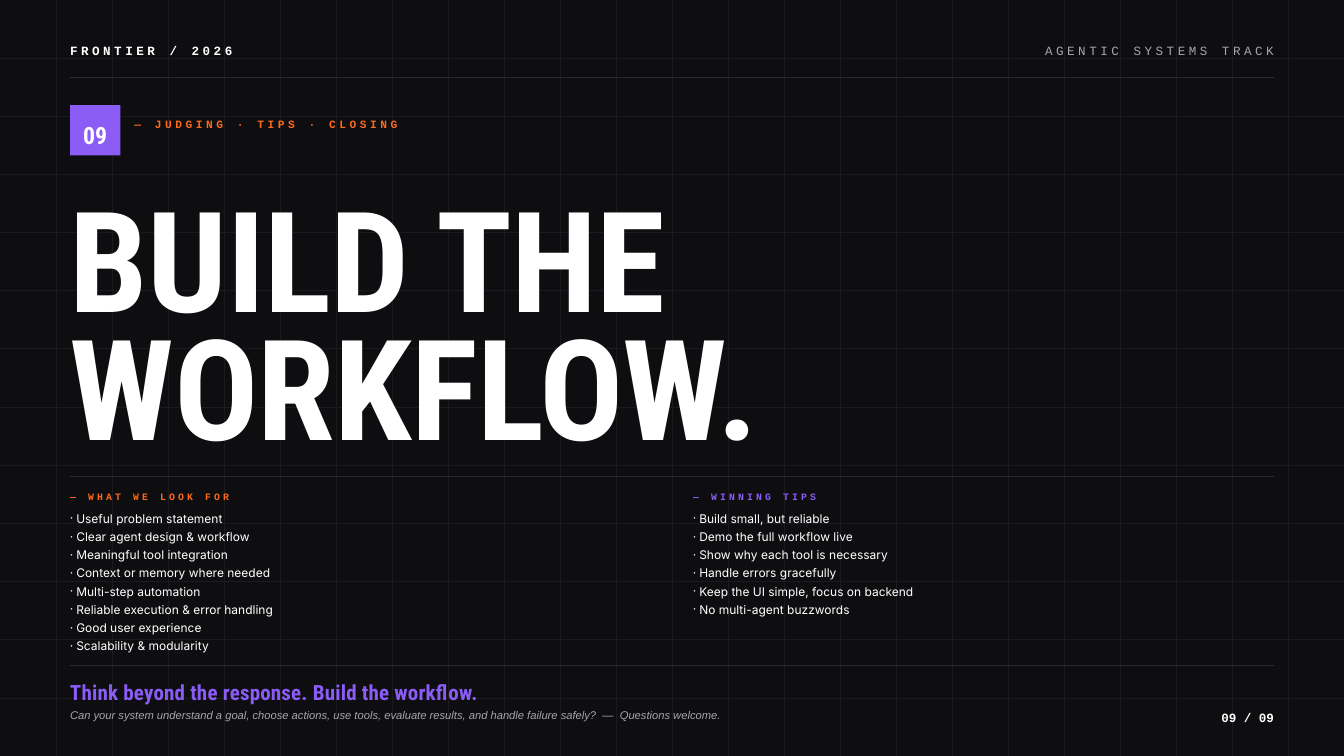
"""Build the closing slide of the agentic systems track deck."""
from pptx import Presentation, util as u
from pptx.dml.color import RGBColor
from pptx.enum import shapes, text
from pptx.oxml.ns import qn

PX = u.Inches(1) // 96
WIDTH, HEIGHT = 1920, 1080
LEFT, RIGHT, COLUMN_2 = 100, 1820, 990
GRID_COLUMNS, GRID_ROWS = 24, 13

INK = RGBColor(0x0E, 0x0E, 0x10)
GRID = RGBColor(0x1A, 0x1A, 0x1F)
RULE = RGBColor(0x2A, 0x2A, 0x30)
WHITE = RGBColor(0xFF, 0xFF, 0xFF)
GREY = RGBColor(0xA5, 0xA5, 0xAD)
PURPLE = RGBColor(0x8B, 0x5C, 0xF6)
ORANGE = RGBColor(0xFF, 0x6A, 0x1A)

MONO, DISPLAY, BODY, NOTE = "Courier New", "Roboto Condensed", "Inter", "Arial"
ALIGN = text.PP_ALIGN

CRITERIA = [
    "Useful problem statement",
    "Clear agent design & workflow",
    "Meaningful tool integration",
    "Context or memory where needed",
    "Multi-step automation",
    "Reliable execution & error handling",
    "Good user experience",
    "Scalability & modularity",
]
TIPS = [
    "Build small, but reliable",
    "Demo the full workflow live",
    "Show why each tool is necessary",
    "Handle errors gracefully",
    "Keep the UI simple, focus on backend",
    "No multi-agent buzzwords",
]


def add_line(s, x1, y1, x2, y2, color):
    """Draw a thin straight line."""
    line = s.shapes.add_connector(
        shapes.MSO_CONNECTOR.STRAIGHT, x1 * PX, y1 * PX, x2 * PX, y2 * PX)
    line.line.color.rgb = color
    line.line.width = u.Pt(0.75)
    line._element.spPr.append(line._element.makeelement(qn("a:effectLst"), {}))


def add_grid(s):
    """Draw the background grid."""
    for i in range(1, GRID_COLUMNS):
        x = i * WIDTH // GRID_COLUMNS
        add_line(s, x, 0, x, HEIGHT, GRID)
    for i in range(1, GRID_ROWS):
        y = round(i * HEIGHT / GRID_ROWS)
        add_line(s, 0, y, WIDTH, y, GRID)


def add_text(s, x, y, w, h, content, font, size, color, leading, bold=False,
             italic=False, spacing=0, align=ALIGN.LEFT):
    """Add a text box without margins and return its text frame."""
    tf = s.shapes.add_textbox(x * PX, y * PX, w * PX, h * PX).text_frame
    tf.margin_left = tf.margin_right = tf.margin_top = tf.margin_bottom = 0
    tf.word_wrap = True
    tf.auto_size = text.MSO_AUTO_SIZE.SHAPE_TO_FIT_TEXT
    tf.text = content
    for p in tf.paragraphs:
        p.alignment = align
        p.line_spacing = u.Pt(leading)
        for r in p.runs:
            r.font.name, r.font.size = font, u.Pt(size)
            r.font.bold, r.font.italic = bold, italic
            r.font.color.rgb = color
            if spacing:
                r._r.get_or_add_rPr().set("spc", str(round(spacing * 100)))
    return tf


def add_badge(s, x, y, size, number):
    """Add the numbered section square."""
    square = s.shapes.add_shape(
        shapes.MSO_SHAPE.RECTANGLE, x * PX, y * PX, size * PX, size * PX)
    square.shadow.inherit = False
    square.fill.solid()
    square.fill.fore_color.rgb = PURPLE
    square.line.fill.background()
    add_text(s, x, y + 15, size, 45, number, DISPLAY, 25.5, WHITE, 35.7,
             bold=True, align=ALIGN.CENTER)


def add_list(s, x, heading, color, items):
    """Add a heading with its bulleted list."""
    add_text(s, x, 698, 400, 18, heading, MONO, 10.5, color, 14.7,
             bold=True, spacing=3.4)
    tf = add_text(s, x, 729, 830, 204, "\n".join(items), BODY, 12.8, WHITE, 16.6)
    for i, p in enumerate(tf.paragraphs):
        if i:
            p.space_before = u.Pt(2.9)
        pPr = p._p.get_or_add_pPr()
        pPr.set("marL", str(9 * PX))
        pPr.set("indent", str(-9 * PX))
        pPr.append(pPr.makeelement(qn("a:buFont"), {"typeface": BODY}))
        pPr.append(pPr.makeelement(qn("a:buChar"), {"char": "·"}))


def main():
    """Compose and save the slide."""
    prs = Presentation()
    prs.slide_width, prs.slide_height = WIDTH * PX, HEIGHT * PX
    s = prs.slides.add_slide(prs.slide_layouts[6])
    s.background.fill.solid()
    s.background.fill.fore_color.rgb = INK

    add_grid(s)
    for y in (110, 680, 950):
        add_line(s, LEFT, y, RIGHT, y, RULE)

    add_text(s, LEFT, 58, 800, 23, "FRONTIER / 2026", MONO, 13.5, WHITE, 18.9,
             bold=True, spacing=3.8)
    add_text(s, RIGHT - 800, 58, 800, 23, "AGENTIC SYSTEMS TRACK", MONO, 13.5,
             GREY, 18.9, spacing=3.8, align=ALIGN.RIGHT)

    add_badge(s, LEFT, 150, 72, "09")
    add_text(s, 192, 165, 900, 22, "— JUDGING · TIPS · CLOSING", MONO, 12,
             ORANGE, 16.8, bold=True, spacing=3.8)
    add_text(s, LEFT, 302, RIGHT - LEFT, 382, "BUILD THE\nWORKFLOW.", DISPLAY,
             150, WHITE, 138, bold=True, spacing=-0.8)

    add_list(s, LEFT, "— WHAT WE LOOK FOR", ORANGE, CRITERIA)
    add_list(s, COLUMN_2, "— WINNING TIPS", PURPLE, TIPS)

    add_text(s, LEFT, 965, RIGHT - LEFT, 41,
             "Think beyond the response. Build the workflow.", DISPLAY, 22.5,
             PURPLE, 31.5, bold=True, spacing=0.2)
    add_text(s, LEFT, 1009, 1520, 22,
             "Can your system understand a goal, choose actions, use tools, "
             "evaluate results, and handle failure safely?  —  Questions welcome.",
             NOTE, 12, GREY, 16.8, italic=True)
    add_text(s, RIGHT - 180, 1010, 180, 23, "09 / 09", MONO, 13.5, WHITE, 18.9,
             bold=True, align=ALIGN.RIGHT)
    prs.save("out.pptx")


if __name__ == "__main__":
    main()
